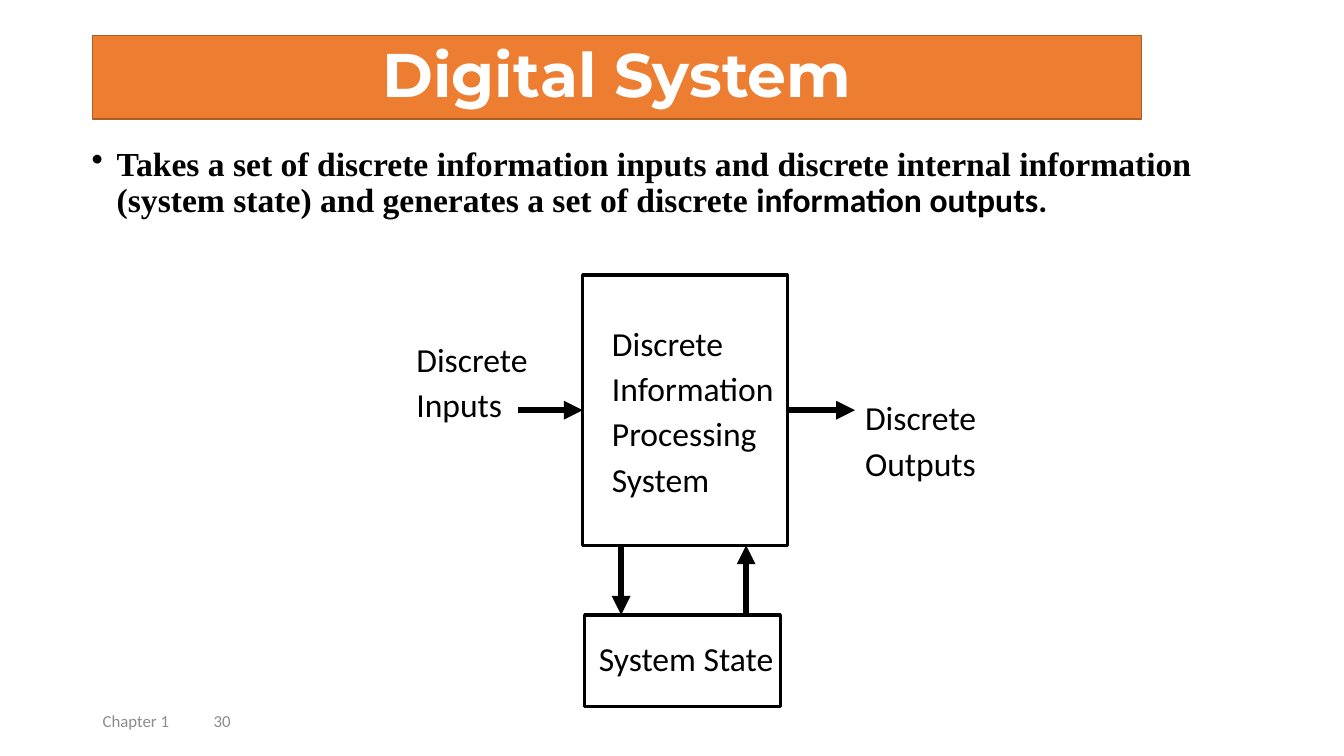
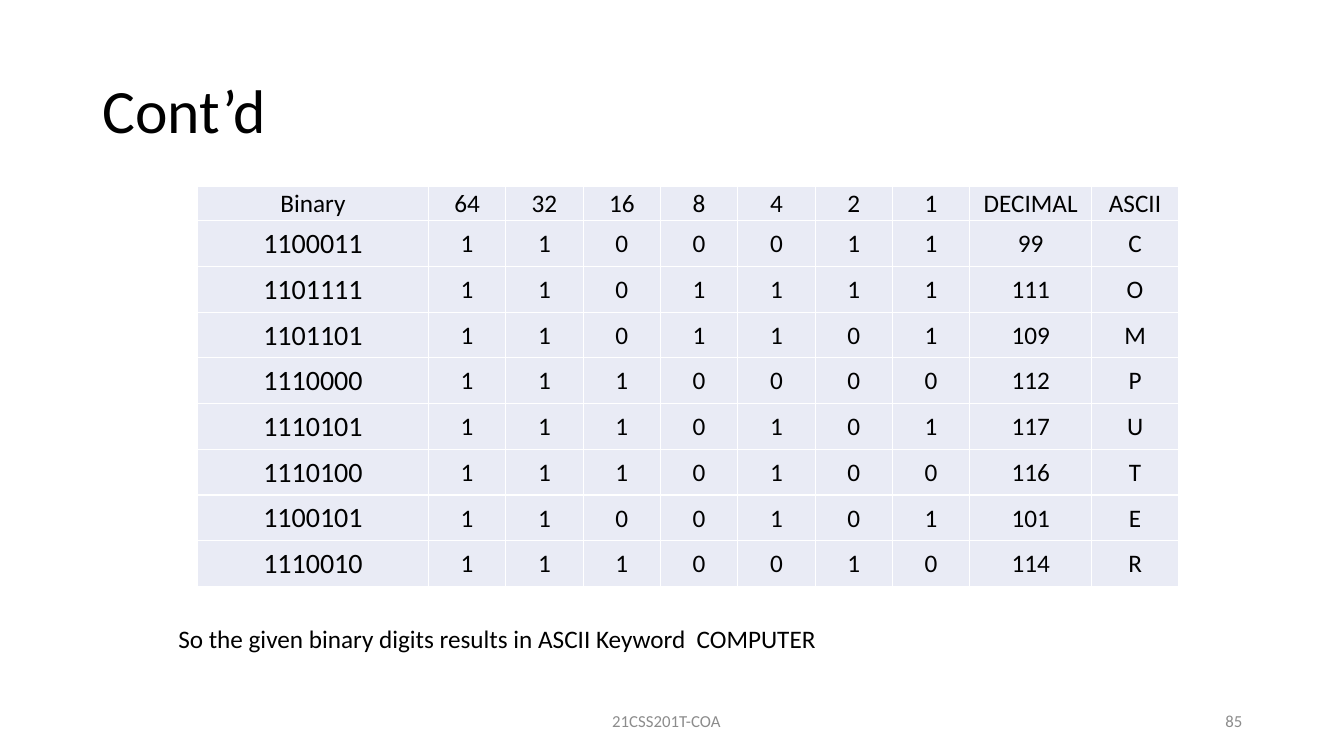
from dataclasses import dataclass

from lxml import etree
from pptx import Presentation
from pptx.dml.color import RGBColor
from pptx.enum import shapes, text
from pptx.oxml import ns
from pptx.util import Pt

EMU_PER_PX = 9144
LEFT, CENTER, RIGHT = text.PP_ALIGN.LEFT, text.PP_ALIGN.CENTER, text.PP_ALIGN.RIGHT
TOP, MIDDLE = text.MSO_ANCHOR.TOP, text.MSO_ANCHOR.MIDDLE
SIDE_LEFT, SIDE_RIGHT = 1, 3


@dataclass(frozen=True)
class Theme:
    ink: str = "000000"
    paper: str = "FFFFFF"
    muted: str = "8C8C8C"
    band: str = "ED7D31"
    band_edge: str = "AF5C24"
    cell: str = "E9EBF5"
    sans: str = "Calibri"
    serif: str = "Times New Roman"
    display: str = "Montserrat"
    title_size: int = 44
    body_size: int = 24
    code_size: int = 20
    table_size: int = 18
    footer_size: int = 12
    edge_width: float = 1
    box_width: float = 2.5
    arrow_width: float = 4.5
    tight: float = 0.9
    label_gap: float = 3.6


def emu(px):
    return round(px * EMU_PER_PX)


def color(value):
    return RGBColor.from_string(value)


def add_xml(parent, tag, **attributes):
    return etree.SubElement(parent, ns.qn(tag), attributes)


class Deck:
    def __init__(self, theme, width, height):
        self.theme = theme
        self.deck = Presentation()
        self.deck.slide_width, self.deck.slide_height = emu(width), emu(height)
        self.page = None

    def new_page(self):
        self.page = self.deck.slides.add_slide(self.deck.slide_layouts[6])

    def style(self, para, size, ink=None, font=None, bold=False, align=LEFT):
        para.alignment = align
        para.font.size = Pt(size)
        para.font.name = font or self.theme.sans
        para.font.bold = bold
        para.font.color.rgb = color(ink or self.theme.ink)

    def text(self, area, words, size, anchor=TOP, **style):
        box = self.page.shapes.add_textbox(*map(emu, area))
        frame = box.text_frame
        frame.word_wrap = True
        frame.vertical_anchor = anchor
        frame.text = words
        for para in frame.paragraphs:
            self.style(para, size, **style)
        return frame

    def rectangle(self, area, line, line_width, fill=None):
        box = self.page.shapes.add_shape(shapes.MSO_SHAPE.RECTANGLE, *map(emu, area))
        box.shadow.inherit = False
        box.line.color.rgb = color(line)
        box.line.width = Pt(line_width)
        if fill:
            box.fill.solid()
            box.fill.fore_color.rgb = color(fill)
        else:
            box.fill.background()
        return box

    def title(self, area, words):
        frame = self.text(area, words, self.theme.title_size, MIDDLE)
        frame.paragraphs[0].line_spacing = self.theme.tight

    def band_title(self, area, words):
        theme = self.theme
        box = self.rectangle(area, theme.band_edge, theme.edge_width, theme.band)
        frame = box.text_frame
        frame.vertical_anchor = MIDDLE
        frame.text = words
        para = frame.paragraphs[0]
        self.style(para, theme.title_size, theme.paper, theme.display, True, CENTER)
        para.line_spacing = theme.tight

    def bullet(self, area, serif_words, sans_words):
        theme = self.theme
        frame = self.text(area, "", theme.body_size, font=theme.serif, bold=True)
        para = frame.paragraphs[0]
        para.line_spacing = theme.tight
        para.add_run().text = serif_words
        span = para.add_run()
        span.text = sans_words
        span.font.name = theme.sans
        properties = para._p.get_or_add_pPr()
        properties.set("marL", str(emu(25)))
        properties.set("indent", str(-emu(25)))
        mark = etree.Element(ns.qn("a:buChar"), char="•")
        properties.find(ns.qn("a:defRPr")).addprevious(mark)

    def label(self, left, top, width, *lines):
        frame = self.text((left, top, width, 46 * len(lines)), "\n".join(lines), self.theme.body_size)
        frame.margin_left = frame.margin_right = frame.margin_top = frame.margin_bottom = 0
        for para in frame.paragraphs[1:]:
            para.space_before = Pt(self.theme.label_gap)

    def diagram_box(self, area):
        return self.rectangle(area, self.theme.ink, self.theme.box_width)

    def arrow(self, start, end):
        arrow = self.page.shapes.add_connector(shapes.MSO_CONNECTOR.STRAIGHT, *map(emu, start + end))
        arrow.line.color.rgb = color(self.theme.ink)
        arrow.line.width = Pt(self.theme.arrow_width)
        add_xml(arrow.line._get_or_add_ln(), "a:tailEnd", type="triangle")
        add_xml(arrow._element.spPr, "a:effectLst")
        return arrow

    def footer(self, left, width, words, align=LEFT):
        self.text((left, 695, width, 40), words, self.theme.footer_size, MIDDLE,
                  ink=self.theme.muted, align=align)

    def table(self, left, top, widths, heights, rows):
        area = left, top, sum(widths), sum(heights)
        table = self.page.shapes.add_table(len(rows), len(widths), *map(emu, area)).table
        table.first_row = table.horz_banding = False
        for column, width in zip(table.columns, widths):
            column.width = emu(width)
        for line, height in zip(table.rows, heights):
            line.height = emu(height)
        for y, row in enumerate(rows):
            for x, words in enumerate(row):
                size = self.theme.code_size if x == 0 and y > 0 else self.theme.table_size
                self.cell(table.cell(y, x), words, size)

    def cell(self, cell, words, size):
        cell.text = words
        cell.vertical_anchor = MIDDLE
        cell.margin_left = cell.margin_right = cell.margin_top = emu(1)
        cell.margin_bottom = 0
        self.style(cell.text_frame.paragraphs[0], size, align=CENTER)
        properties = cell._tc.get_or_add_tcPr()
        for side in ("a:lnL", "a:lnR", "a:lnT", "a:lnB"):
            border = add_xml(properties, side, w=str(Pt(self.theme.edge_width)))
            add_xml(add_xml(border, "a:solidFill"), "a:srgbClr", val=self.theme.paper)
        cell.fill.solid()
        cell.fill.fore_color.rgb = color(self.theme.cell)

    def save(self):
        self.deck.save("out.pptx")


def digital_system(deck):
    deck.new_page()
    deck.footer(92, 110, "Chapter 1")
    deck.footer(202, 60, "30")
    deck.band_title((92, 35, 1040, 83), "Digital System")
    deck.bullet(
        (81, 141, 1150, 476),
        "Takes a set of discrete information inputs and discrete internal information "
        "(system state) and generates a set of discrete ",
        "information outputs.",
    )
    processing = deck.diagram_box((578, 273, 203, 268))
    deck.diagram_box((580, 610, 194, 91))
    deck.label(607, 320, 170, "Discrete", "Information", "Processing", "System")
    deck.label(594, 633, 180, "System State")
    deck.label(413, 336, 130, "Discrete", "Inputs")
    deck.label(858, 394, 130, "Discrete", "Outputs")
    deck.arrow((616, 541), (616, 610))
    deck.arrow((740, 610), (740, 541))
    deck.arrow((514, 407), (578, 407)).end_connect(processing, SIDE_LEFT)
    deck.arrow((781, 407), (848, 407)).begin_connect(processing, SIDE_RIGHT)


def ascii_decoding(deck):
    deck.new_page()
    deck.title((92, 40, 1150, 145), "Cont’d")
    deck.footer(436, 450, "21CSS201T-COA", CENTER)
    deck.footer(942, 300, "85", RIGHT)
    weights = [str(2 ** power) for power in range(6, -1, -1)]
    rows = [["Binary", *weights, "DECIMAL", "ASCII"]]
    for letter in "COMPUTER":
        code = format(ord(letter.lower()), "07b")
        rows.append([code, *code, str(ord(letter.lower())), letter])
    bit_width = (973 - 229 - 121 - 86) / len(weights)
    row_height = (397 - 34) / (len(rows) - 1)
    widths = [229] + [bit_width] * len(weights) + [121, 86]
    heights = [34] + [row_height] * (len(rows) - 1)
    deck.table(196, 185, widths, heights, rows)
    deck.text((167, 613, 1014, 40),
              "So the given binary digits results in ASCII Keyword  COMPUTER",
              deck.theme.table_size)


def main():
    deck = Deck(Theme(), 1333, 750)
    digital_system(deck)
    ascii_decoding(deck)
    deck.save()


if __name__ == "__main__":
    main()
